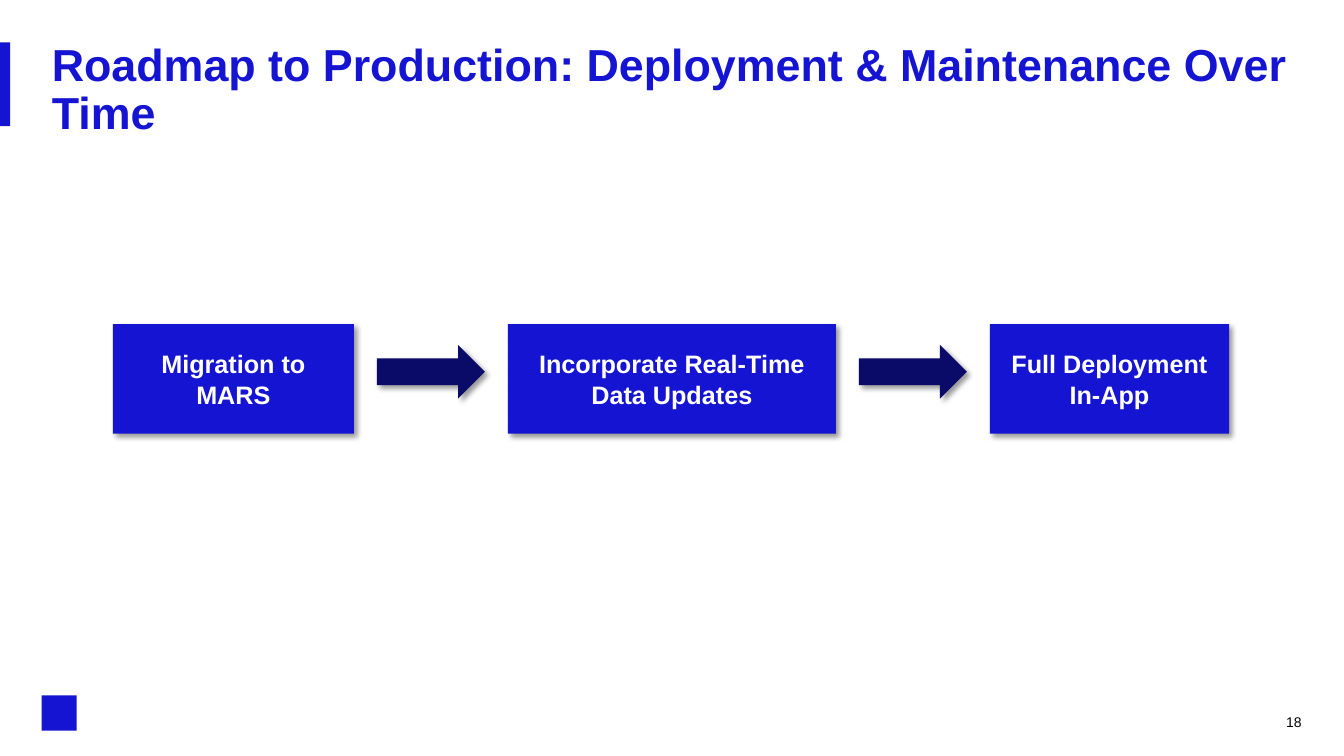
from collections import namedtuple

from lxml.etree import SubElement
from pptx import Presentation
from pptx.dml.color import RGBColor
from pptx.enum.shapes import MSO_SHAPE
from pptx.enum.text import MSO_ANCHOR, MSO_AUTO_SIZE, PP_ALIGN
from pptx.oxml.ns import qn
from pptx.util import Inches, Pt

SLIDE_WIDTH, SLIDE_HEIGHT = Inches(13.33), Inches(7.5)
COLORS = {"blue": "1414D2", "navy": "0A0A69", "white": "FFFFFF", "black": "000000"}
FONTS = {
    "title": {"name": "Arial", "size": Pt(32), "bold": True},
    "step": {"name": "Arial", "size": Pt(18), "bold": True},
    "number": {"name": "Arial", "size": Pt(10), "bold": False},
}
SHADOW = {"blurRad": Pt(4), "dist": Pt(3), "dir": 45 * 60000, "algn": "tl", "rotWithShape": 0}

# Boxes are in percent of the slide's width and height.
Box = namedtuple("Box", "left top width height")
ACCENT_BOX = Box(0, 5.6, 0.75, 11.1)
EMBLEM_BOX = Box(3.1, 92, 2.6, 4.65)
TITLE_BOX = Box(3.1, 4.95, 95.9, 14.5)
NUMBER_BOX = Box(93.3, 94.4, 3.55, 2.7)
ROADMAP_BOX = Box(8.4, 42.87, 83.05, 14.5)

STEPS = [  # paragraphs and width of each step
    (["Migration to MARS"], 17.93),
    (["Incorporate Real-Time", "Data Updates"], 24.4),
    (["Full Deployment", "In-App"], 17.8),
]
ARROW_WIDTH = 8.03
ARROW_TOP, ARROW_HEIGHT = 0.19, 0.49  # shares of the roadmap's height


def to_lengths(box):
    return (int(SLIDE_WIDTH * box.left / 100), int(SLIDE_HEIGHT * box.top / 100),
            int(SLIDE_WIDTH * box.width / 100), int(SLIDE_HEIGHT * box.height / 100))


def write(frame, lines, style, color, alignment):
    frame.word_wrap = True
    for index, line in enumerate(lines):
        paragraph = frame.add_paragraph() if index else frame.paragraphs[0]
        paragraph.text = line
        paragraph.alignment = alignment
        for name, value in FONTS[style].items():
            setattr(paragraph.font, name, value)
        paragraph.font.color.rgb = RGBColor.from_string(COLORS[color])


def add_block(slide, preset, box, color, shadowed=False):
    shape = slide.shapes.add_shape(preset, *to_lengths(box))
    shape.fill.solid()
    shape.fill.fore_color.rgb = RGBColor.from_string(COLORS[color])
    shape.line.fill.background()
    shape.shadow.inherit = False
    if shadowed:
        effects = shape.element.spPr.find(qn("a:effectLst"))
        shadow = SubElement(effects, qn("a:outerShdw"),
                            {name: str(value) for name, value in SHADOW.items()})
        tint = SubElement(shadow, qn("a:srgbClr"), val=COLORS["black"])
        SubElement(tint, qn("a:alpha"), val="40000")
    return shape


def add_title(slide, box):
    title = slide.shapes.title
    title.left, title.top, title.width, title.height = to_lengths(box)
    frame = title.text_frame
    write(frame, ["Roadmap to Production: Deployment & Maintenance Over Time"],
          "title", "blue", PP_ALIGN.LEFT)
    frame.auto_size = MSO_AUTO_SIZE.NONE
    frame.vertical_anchor = MSO_ANCHOR.TOP
    frame.paragraphs[0].line_spacing = 0.9


def add_page_number(slide, box):
    frame = slide.shapes.add_textbox(*to_lengths(box)).text_frame
    for side in ("left", "top", "right", "bottom"):
        setattr(frame, f"margin_{side}", 0)
    write(frame, ["18"], "number", "black", PP_ALIGN.RIGHT)


def add_roadmap(slide, box):
    """Spread the steps evenly over the box, with an arrow centred in each gap."""
    gap = (box.width - sum(width for _, width in STEPS)) / (len(STEPS) - 1)
    left = box.left
    for index, (lines, width) in enumerate(STEPS):
        if index:
            arrow_box = Box(left - (gap + ARROW_WIDTH) / 2, box.top + ARROW_TOP * box.height,
                            ARROW_WIDTH, ARROW_HEIGHT * box.height)
            add_block(slide, MSO_SHAPE.RIGHT_ARROW, arrow_box, "navy", shadowed=True)
        step = add_block(slide, MSO_SHAPE.RECTANGLE, Box(left, box.top, width, box.height),
                         "blue", shadowed=True)
        step.text_frame.vertical_anchor = MSO_ANCHOR.MIDDLE
        write(step.text_frame, lines, "step", "white", PP_ALIGN.CENTER)
        left += width + gap


def main():
    presentation = Presentation()
    presentation.slide_width, presentation.slide_height = SLIDE_WIDTH, SLIDE_HEIGHT
    slide = presentation.slides.add_slide(presentation.slide_layouts.get_by_name("Title Only"))
    for box in (ACCENT_BOX, EMBLEM_BOX):
        add_block(slide, MSO_SHAPE.RECTANGLE, box, "blue")
    add_title(slide, TITLE_BOX)
    add_roadmap(slide, ROADMAP_BOX)
    add_page_number(slide, NUMBER_BOX)
    presentation.save("out.pptx")


if __name__ == "__main__":
    main()
